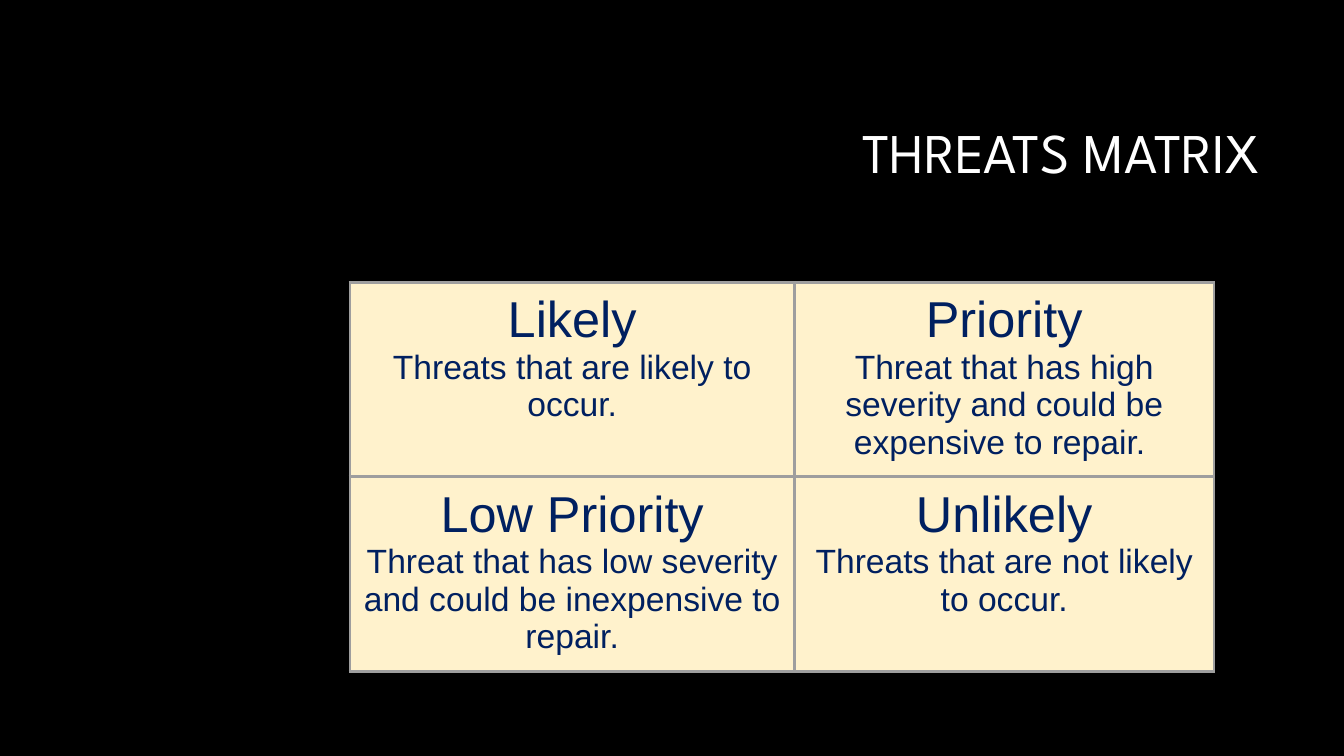
"""Build a threats matrix slide: a title above a two by two table."""
from lxml import etree
from pptx import Presentation
from pptx import util as u
from pptx.dml.color import RGBColor
from pptx.enum import text
from pptx.oxml import ns

COLORS = {"back": "000000", "title": "FFFFFF", "ink": "002060",
          "cell": "FFF2CC", "border": "9E9E9E"}
COL_WIDTHS = (4.41, 4.16)
ROW_HEIGHT = 1.93
THREATS = (
    (("Likely", "Threats that are likely to occur."),
     ("Priority", "Threat that has high severity and could be expensive to repair. ")),
    (("Low Priority", "Threat that has low severity and could be inexpensive to repair."),
     ("Unlikely", "Threats that are not likely to occur.")),
)


def rgb(name):
    return RGBColor.from_string(COLORS[name])


def add_run(p, words, size, font, color):
    r = p.add_run()
    r.text = words
    r.font.size = u.Pt(size)
    r.font.name = font
    r.font.color.rgb = rgb(color)


def set_title(s, words):
    sp = s.shapes.title
    sp.left, sp.top, sp.width, sp.height = map(u.Inches, (3.17, 0.84, 9.42, 1.41))
    tf = sp.text_frame
    tf.word_wrap = True
    tf.vertical_anchor = text.MSO_ANCHOR.MIDDLE
    p = tf.paragraphs[0]
    p.alignment = text.PP_ALIGN.RIGHT
    p.line_spacing = 0.9
    add_run(p, words, 40, "League Spartan", "title")


def set_borders(cell, color, width):
    tc_pr = cell._tc.get_or_add_tcPr()
    for side in ("lnL", "lnR", "lnT", "lnB"):
        ln = etree.SubElement(tc_pr, ns.qn(f"a:{side}"), w=str(u.Pt(width)))
        fill = etree.SubElement(ln, ns.qn("a:solidFill"))
        etree.SubElement(fill, ns.qn("a:srgbClr"), val=COLORS[color])


def fill_cell(cell, heading, detail):
    set_borders(cell, "border", 2.25)
    cell.fill.solid()
    cell.fill.fore_color.rgb = rgb("cell")
    cell.margin_left = cell.margin_right = u.Inches(0.1)
    cell.margin_top = cell.margin_bottom = u.Inches(0.1)
    tf = cell.text_frame
    for p, words, size in ((tf.paragraphs[0], heading, 36),
                           (tf.add_paragraph(), detail, 24)):
        p.alignment = text.PP_ALIGN.CENTER
        add_run(p, words, size, "Arial", "ink")


def add_matrix(s, rows):
    frame = s.shapes.add_table(
        len(rows), len(COL_WIDTHS), u.Inches(3.47), u.Inches(2.8),
        u.Inches(sum(COL_WIDTHS)), u.Inches(ROW_HEIGHT * len(rows)))
    table = frame.table
    table.first_row = table.horz_banding = False
    for column, width in zip(table.columns, COL_WIDTHS):
        column.width = u.Inches(width)
    for i, row in enumerate(rows):
        table.rows[i].height = u.Inches(ROW_HEIGHT)
        for j, (heading, detail) in enumerate(row):
            fill_cell(table.cell(i, j), heading, detail)


def main():
    prs = Presentation()
    prs.slide_width, prs.slide_height = u.Inches(13.33), u.Inches(7.5)
    s = prs.slides.add_slide(prs.slide_layouts.get_by_name("Title Only"))
    s.background.fill.solid()
    s.background.fill.fore_color.rgb = rgb("back")
    set_title(s, "THREATS MATRIX")
    add_matrix(s, THREATS)
    prs.save("out.pptx")


if __name__ == "__main__":
    main()
